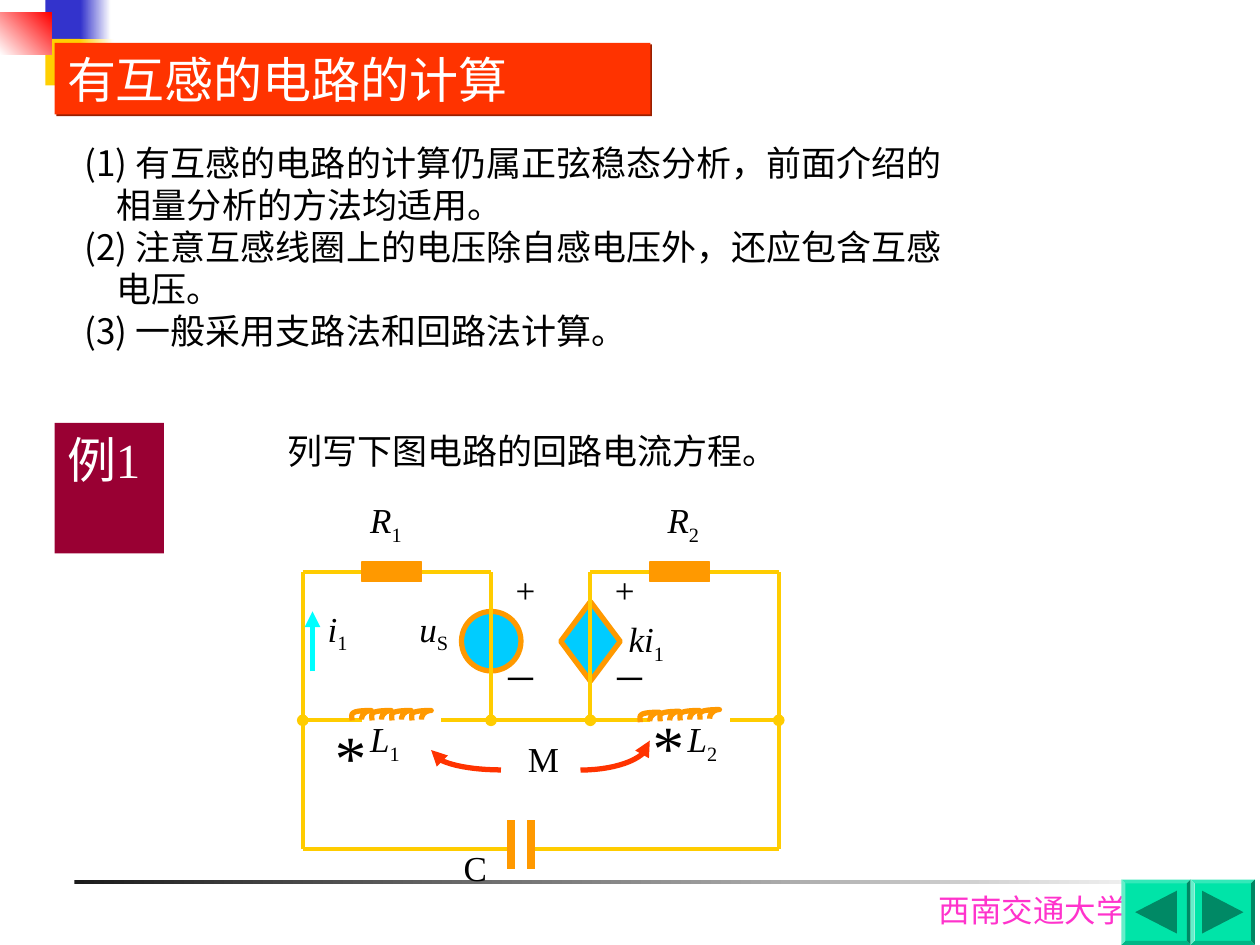
import pptx
import pptx.util
import pptx.dml.color
import pptx.enum.shapes
import pptx.enum.text
import pptx.oxml
import pptx.oxml.ns
from lxml import etree

Pt = pptx.util.Pt
RGB = pptx.dml.color.RGBColor.from_string
MSO = pptx.enum.shapes.MSO_SHAPE
qn = pptx.oxml.ns.qn

colors = {
    "black": "000000", "white": "FFFFFF", "charcoal": "1C1C1C", "blue": "3333CC",
    "gold": "FFCF01", "red": "FF0000", "pink": "FF33CC", "button": "00E4A8",
    "button_arrow": "008965", "title": "FF3300", "title_shadow": "991F00",
    "example": "990033", "source": "00CCFF", "part": "FF9900", "wire": "FFCC00",
    "current": "00FFFF",
}
serif = "Times New Roman"
sans = "Noto Sans CJK SC"

presentation = pptx.Presentation()
presentation.slide_width = Pt(720)
presentation.slide_height = Pt(540)
slide = presentation.slides.add_slide(presentation.slide_layouts[6])
shapes = slide.shapes


def write(shape, paragraphs, size, font, color, wrap=True):
    frame = shape.text_frame
    frame.word_wrap = wrap
    frame.vertical_anchor = pptx.enum.text.MSO_ANCHOR.TOP
    for index, pieces in enumerate(paragraphs):
        paragraph = frame.paragraphs[0] if index == 0 else frame.add_paragraph()
        paragraph.alignment = pptx.enum.text.PP_ALIGN.LEFT
        for text, style in pieces:
            run = paragraph.add_run()
            run.text = text
            run.font.size = Pt(size)
            run.font.name = font
            run.font.color.rgb = RGB(colors[color])
            run.font.italic = style == "italic"
            east_asian = etree.SubElement(run._r.rPr, qn("a:ea"))
            east_asian.set("typeface", sans)
            if style == "subscript":
                run._r.rPr.set("baseline", "-25000")


def style_line(shape, color, width, **ends):
    shape.line.color.rgb = RGB(colors[color])
    shape.line.width = Pt(width)
    properties = shape._element.spPr
    for end in ("headEnd", "tailEnd"):
        if end in ends:
            etree.SubElement(shape.line._get_or_add_ln(), qn("a:" + end)).set("type", ends[end])
    if properties.find(qn("a:effectLst")) is None:
        etree.SubElement(properties, qn("a:effectLst"))


gradients = [
    (42.5, 502.6, 648, 2.4, "charcoal", "white", 0),
    (46, 0, 17.3, 26.6, "blue", "white", 0),
    (45.4, 22.3, 19.4, 26.6, "gold", "white", 0),
    (0, 7.4, 29.5, 23.8, "white", "red", 45),
]
blocks = [(26, 0, 23, 26.6, "blue"), (26, 22.3, 22.3, 26.6, "gold")]
for left, top, width, height, color in blocks:
    block = shapes.add_shape(MSO.RECTANGLE, Pt(left), Pt(top), Pt(width), Pt(height))
    block.shadow.inherit = False
    block.fill.solid()
    block.fill.fore_color.rgb = RGB(colors[color])
    block.line.fill.background()
for left, top, width, height, first, last, angle in gradients:
    band = shapes.add_shape(MSO.RECTANGLE, Pt(left), Pt(top), Pt(width), Pt(height))
    band.shadow.inherit = False
    band.fill.gradient()
    band.fill.gradient_angle = angle
    for stop, color in zip(band.fill.gradient_stops, (first, last)):
        stop.color.rgb = RGB(colors[color])
    band.line.fill.background()

university = shapes.add_textbox(Pt(529.2), Pt(505.4), Pt(130.3), Pt(28.8))
write(university, [[("西南交通大学", "")]], 18, "Roboto", "pink")

filled = {}
for role, kind, left, top, width, height, color, outline in [
    ("back", MSO.BEVEL, 640.8, 502.6, 39.6, 37.3, "button", 0),
    ("next", MSO.BEVEL, 680.4, 502.6, 36.7, 37.3, "button", 0),
    ("title", MSO.RECTANGLE, 31.2, 24.5, 340.4, 41, "title", 0),
    ("example", MSO.RECTANGLE, 31.2, 241.7, 62.4, 74.6, "example", 0),
    ("controlled source", MSO.DIAMOND, 320.4, 343.8, 34, 45.4, "source", 3),
    ("voltage source", MSO.OVAL, 263.7, 349.4, 34, 34, "source", 3),
]:
    shape = shapes.add_shape(kind, Pt(left), Pt(top), Pt(width), Pt(height))
    shape.shadow.inherit = False
    shape.fill.solid()
    shape.fill.fore_color.rgb = RGB(colors[color])
    if kind == MSO.BEVEL:
        shape.adjustments[0] = 0.06
    if outline:
        style_line(shape, "part", outline)
    else:
        shape.line.fill.background()
    filled[role] = shape

for tip, base in [(648.7, 672.5), (710.6, 686.9)]:
    builder = shapes.build_freeform(Pt(tip), Pt(521.3))
    builder.add_line_segments([(Pt(base), Pt(509)), (Pt(base), Pt(533.5))], close=True)
    triangle = builder.convert_to_shape()
    triangle.shadow.inherit = False
    triangle.fill.solid()
    triangle.fill.fore_color.rgb = RGB(colors["button_arrow"])
    triangle.line.fill.background()

write(filled["title"], [[("有互感的电路的计算", "")]], 28, sans, "white")
write(filled["example"], [[("例1", "")]], 28, serif, "white")
effects = filled["title"]._element.spPr.find(qn("a:effectLst"))
shadow = etree.SubElement(effects, qn("a:outerShdw"), dist="17780", dir="2700000", algn="ctr", rotWithShape="0")
etree.SubElement(shadow, qn("a:srgbClr"), val=colors["title_shadow"])

notes = [
    ("(1) 有互感的电路的计算仍属正弦稳态分析，前面介绍的", 4.6),
    ("相量分析的方法均适用。", 23),
    ("(2) 注意互感线圈上的电压除自感电压外，还应包含互感", 4.6),
    ("电压。", 23),
    ("(3) 一般采用支路法和回路法计算。", 4.6),
]
body = shapes.add_textbox(Pt(36.7), Pt(77.4), Pt(646.6), Pt(127.4))
write(body, [[(text, "")] for text, indent in notes], 20, sans, "black")
for paragraph, (text, indent) in zip(body.text_frame.paragraphs, notes):
    paragraph._p.get_or_add_pPr().set("marL", str(Pt(indent)))
question = shapes.add_textbox(Pt(157), Pt(241.9), Pt(294.5), Pt(31.7))
write(question, [[("列写下图电路的回路电流方程。", "")]], 20, serif, "black", False)

left_x, source_x, controlled_x, right_x = 173, 280.6, 337.4, 445
top_y, middle_y, bottom_y = 326.9, 411.6, 485.4
plates = (292, 303.4)
oval_head, oval_tail = {"headEnd": "oval"}, {"tailEnd": "oval"}
for x1, y1, x2, y2, color, width, ends in [
    (left_x, middle_y, 206.6, middle_y, "wire", 2.25, oval_head),
    (source_x, top_y, source_x, middle_y, "wire", 2.25, oval_tail),
    (right_x, middle_y, 416.9, middle_y, "wire", 2.25, oval_head),
    (controlled_x, top_y, controlled_x, middle_y, "wire", 2.25, oval_tail),
    (252.2, middle_y, 371.5, middle_y, "wire", 2.25, {}),
    (left_x, top_y, source_x, top_y, "wire", 2.25, {}),
    (controlled_x, top_y, right_x, top_y, "wire", 2.25, {}),
    (left_x, top_y, left_x, bottom_y, "wire", 2.25, {}),
    (right_x, top_y, right_x, bottom_y, "wire", 2.25, {}),
    (left_x, bottom_y, plates[0], bottom_y, "wire", 2.25, {}),
    (plates[1], bottom_y, right_x, bottom_y, "wire", 2.25, {}),
    (plates[0], 468.7, plates[0], 496.8, "part", 4.5, {}),
    (plates[1], 468.7, plates[1], 496.8, "part", 4.5, {}),
    (178.6, 383.6, 178.6, 349.4, "current", 3, {"tailEnd": "triangle"}),
]:
    line = shapes.add_connector(pptx.enum.shapes.MSO_CONNECTOR.STRAIGHT, Pt(x1), Pt(y1), Pt(x2), Pt(y2))
    style_line(line, color, width, **ends)

for left in (206.8, 371.5):
    resistor = shapes.add_shape(MSO.RECTANGLE, Pt(left), Pt(321.1), Pt(34), Pt(11.2))
    resistor.shadow.inherit = False
    resistor.fill.solid()
    resistor.fill.fore_color.rgb = RGB(colors["part"])
    style_line(resistor, "part", 0.75)

loop = [
    [(0, 0), (0, -2.9), (2.6, -5.2), (5.6, -5.2)],
    [(5.6, -5.2), (-8, -5.2), (-5.4, -2.9), (-5.4, 0.5)],
]
curves = []
for x, y, rise in [(206.6, 411.2, 0), (371.3, 412.2, 0.5)]:
    for turn in range(4):
        shifted = [[(x + turn * 11.4 + dx, y - turn * rise + dy) for dx, dy in arc] for arc in loop]
        curves.append((shifted, "part", {}))
arrow = {"tailEnd": "triangle"}
curves.append(([[(331.7, 440), (353.5, 440), (371.3, 432.7), (371.3, 423.2)]], "title", arrow))
curves.append(([[(286.3, 440), (264.2, 440), (246.4, 434.9), (246.4, 428.6)]], "title", arrow))
for arcs, color, ends in curves:
    points = []
    for arc in arcs:
        for step in range(17):
            t = step / 16
            weights = ((1 - t) ** 3, 3 * t * (1 - t) ** 2, 3 * t * t * (1 - t), t ** 3)
            points.append(tuple(Pt(sum(w * p[axis] for w, p in zip(weights, arc))) for axis in (0, 1)))
    builder = shapes.build_freeform(*points[0])
    builder.add_line_segments(points[1:], close=False)
    curve = builder.convert_to_shape()
    curve.fill.background()
    style_line(curve, color, 3, **ends)

for left, top, width, symbol, subscript in [
    (232.6, 343.4, 31, "u", "S"), (204.5, 406.4, 33, "L", "1"), (385.9, 406.4, 33, "L", "2"),
    (204.5, 281.5, 33, "R", "1"), (374.4, 281.5, 33, "R", "2"),
    (352.1, 349.2, 35, "ki", "1"), (180.2, 343.4, 26, "i", "1"),
]:
    label = shapes.add_textbox(Pt(left), Pt(top), Pt(width), Pt(34.6))
    write(label, [[(symbol, "italic"), (subscript, "subscript")]], 20, serif, "black", False)

for left, top, width, height, text, size, wrap in [
    (294.5, 417.9, 32.4, 31.7, "M", 20, False),
    (287.5, 321.1, 25.2, 31.7, "+", 20, False), (344.2, 321.1, 25.2, 31.7, "+", 20, False),
    (257.8, 479.9, 39.6, 31.7, "C", 20, True),
    (280.8, 372.2, 39.6, 31.7, "－", 20, True), (342.7, 372.2, 39.6, 31.7, "－", 20, True),
    (365.8, 400.7, 28.1, 50.4, "*", 36, True), (184.3, 406.4, 28.1, 50.4, "*", 36, True),
]:
    mark = shapes.add_textbox(Pt(left), Pt(top), Pt(width), Pt(height))
    write(mark, [[(text, "")]], size, serif, "black", wrap)

presentation.save("out.pptx")
